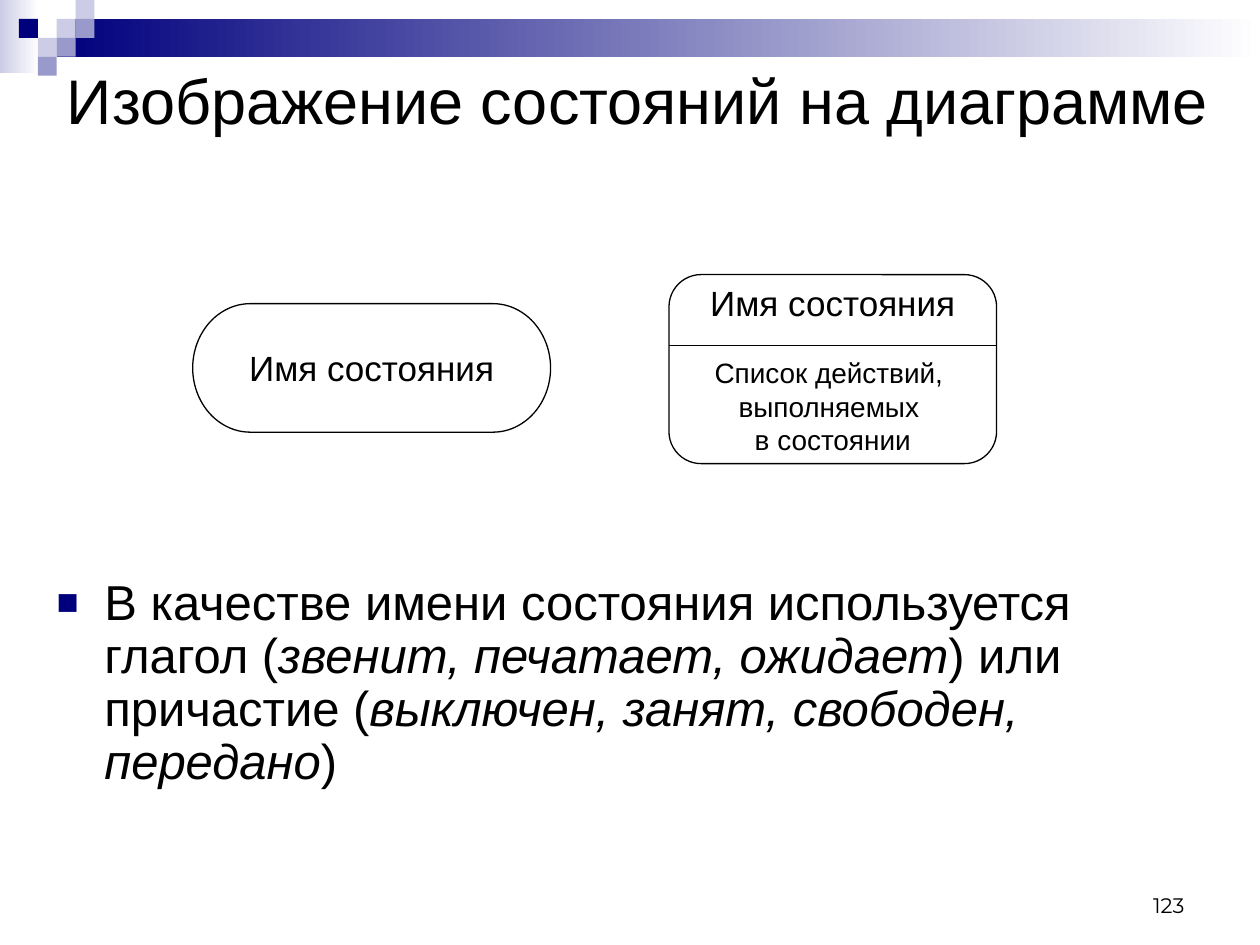
"""Build the slide on drawing states in a state diagram."""
from lxml import etree
from pptx import Presentation
from pptx.dml.color import RGBColor
from pptx.enum.shapes import MSO_CONNECTOR, MSO_SHAPE
from pptx.enum.text import MSO_ANCHOR, MSO_AUTO_SIZE, PP_ALIGN
from pptx.oxml.ns import qn
from pptx.util import Inches, Pt

RECTANGLE, ROUNDED = MSO_SHAPE.RECTANGLE, MSO_SHAPE.ROUNDED_RECTANGLE
TERMINATOR, STRAIGHT = MSO_SHAPE.FLOWCHART_TERMINATOR, MSO_CONNECTOR.STRAIGHT
TOP, MIDDLE, BOTTOM = MSO_ANCHOR.TOP, MSO_ANCHOR.MIDDLE, MSO_ANCHOR.BOTTOM
LEFT, CENTER, RIGHT = PP_ALIGN.LEFT, PP_ALIGN.CENTER, PP_ALIGN.RIGHT
NO_AUTOFIT = MSO_AUTO_SIZE.NONE

BLACK = RGBColor(0x00, 0x00, 0x00)
WHITE = RGBColor(0xFF, 0xFF, 0xFF)
NAVY = RGBColor(0x00, 0x00, 0x7D)
LAVENDER = RGBColor(0xCC, 0xCC, 0xE6)
PERIWINKLE = RGBColor(0x99, 0x99, 0xCC)

TITLE = "Изображение состояний на диаграмме"
STATE_NAME = "Имя состояния"
ACTIONS = ["Список действий, ", "выполняемых ", "в состоянии"]
RULE = [
    ("В качестве имени состояния используется глагол (", False),
    ("звенит, печатает, ожидает", True),
    (") или причастие (", False),
    ("выключен, занят, свободен, передано", True),
    (")", False),
]
PAGE = "123"

TILE = 0.15
BANDS = [((0, 0, 0.31, 0.58), LAVENDER), ((0.45, TILE, 9.55, 2 * TILE), NAVY)]
TILES = [
    (3, 1, LAVENDER), (4, 0, LAVENDER), (4, 1, PERIWINKLE), (2, 2, LAVENDER),
    (1, 1, NAVY), (3, 2, PERIWINKLE), (2, 3, PERIWINKLE),
]
SIMPLE_STATE = (1.53, 2.41, 2.84, 1.02)
DETAILED_STATE = (5.31, 2.18, 2.6, 1.5)
NAME_SHARE = 0.375


def inches(box):
    return [Inches(length) for length in box]


def add_run(paragraph, text, size, font="Arial", italic=False):
    run = paragraph.add_run()
    run.text = text
    run.font.size = Pt(size)
    run.font.name = font
    run.font.italic = italic
    run.font.color.rgb = BLACK


def set_frame(shape, anchor, align, wrap=True):
    frame = shape.text_frame
    frame.auto_size = NO_AUTOFIT
    frame.word_wrap = wrap
    frame.vertical_anchor = anchor
    frame.paragraphs[0].alignment = align
    return frame


def add_plain_shape(slide, kind, box):
    shape = slide.shapes.add_shape(kind, *inches(box))
    shape.shadow.inherit = False
    return shape


def add_state(slide, kind, box):
    state = add_plain_shape(slide, kind, box)
    state.fill.background()
    state.line.color.rgb = BLACK
    state.line.width = Pt(0.75)
    frame = set_frame(state, MIDDLE, CENTER, wrap=False)
    add_run(frame.paragraphs[0], STATE_NAME, 20)
    return state


def add_decoration(slide):
    for box, color in BANDS:
        band = add_plain_shape(slide, RECTANGLE, box)
        band.line.fill.background()
        band.fill.gradient()
        band.fill.gradient_angle = 0
        for stop, shade in zip(band.fill.gradient_stops, (color, WHITE)):
            stop.color.rgb = shade
    for column, row, color in TILES:
        tile = add_plain_shape(slide, RECTANGLE, (column * TILE, row * TILE, TILE, TILE))
        tile.line.fill.background()
        tile.fill.solid()
        tile.fill.fore_color.rgb = color


def add_title(slide):
    title = slide.shapes.title
    title.left, title.top, title.width, title.height = inches((0.43, 0.42, 9.3, 0.73))
    add_run(set_frame(title, MIDDLE, LEFT).paragraphs[0], TITLE, 36)


def add_detailed_state(slide):
    state = add_state(slide, ROUNDED, DETAILED_STATE)
    state.adjustments[0] = 0.17
    for index, action in enumerate(ACTIONS):
        line = state.text_frame.add_paragraph()
        line.alignment = CENTER
        if index == 0:
            line.space_before = Pt(18.4)
        add_run(line, action, 16)
    left, top, width, height = DETAILED_STATE
    level = top + height * NAME_SHARE
    divider = slide.shapes.add_connector(
        STRAIGHT, *inches((left, level, left + width, level)))
    divider.line.color.rgb = BLACK
    divider.line.width = Pt(0.75)
    etree.SubElement(divider._element.spPr, qn("a:effectLst"))


def add_bullet(paragraph, indent):
    properties = paragraph._p.get_or_add_pPr()
    properties.set("marL", str(Inches(indent)))
    properties.set("indent", str(-Inches(indent)))
    color = etree.SubElement(properties, qn("a:buClr"))
    etree.SubElement(color, qn("a:srgbClr"), val=str(NAVY))
    etree.SubElement(properties, qn("a:buSzPct"), val="75000")
    etree.SubElement(properties, qn("a:buFont"), typeface="Arial")
    etree.SubElement(properties, qn("a:buChar"), char="■")


def add_rule(slide):
    box = slide.shapes.add_textbox(*inches((0.35, 4.54, 9.29, 2.43)))
    paragraph = set_frame(box, TOP, LEFT).paragraphs[0]
    add_bullet(paragraph, 0.38)
    paragraph.line_spacing = 0.9
    for text, italic in RULE:
        add_run(paragraph, text, 28, italic=italic)


def add_page_number(slide):
    box = slide.shapes.add_textbox(*inches((7.17, 6.83, 2.33, 0.5)))
    add_run(set_frame(box, BOTTOM, RIGHT).paragraphs[0], PAGE, 12, "Montserrat")


def main():
    deck = Presentation()
    deck.slide_width, deck.slide_height = inches((10, 7.5))
    slide = deck.slides.add_slide(deck.slide_layouts[5])
    add_decoration(slide)
    add_title(slide)
    add_rule(slide)
    add_state(slide, TERMINATOR, SIMPLE_STATE)
    add_detailed_state(slide)
    add_page_number(slide)
    deck.save("out.pptx")


if __name__ == "__main__":
    main()
